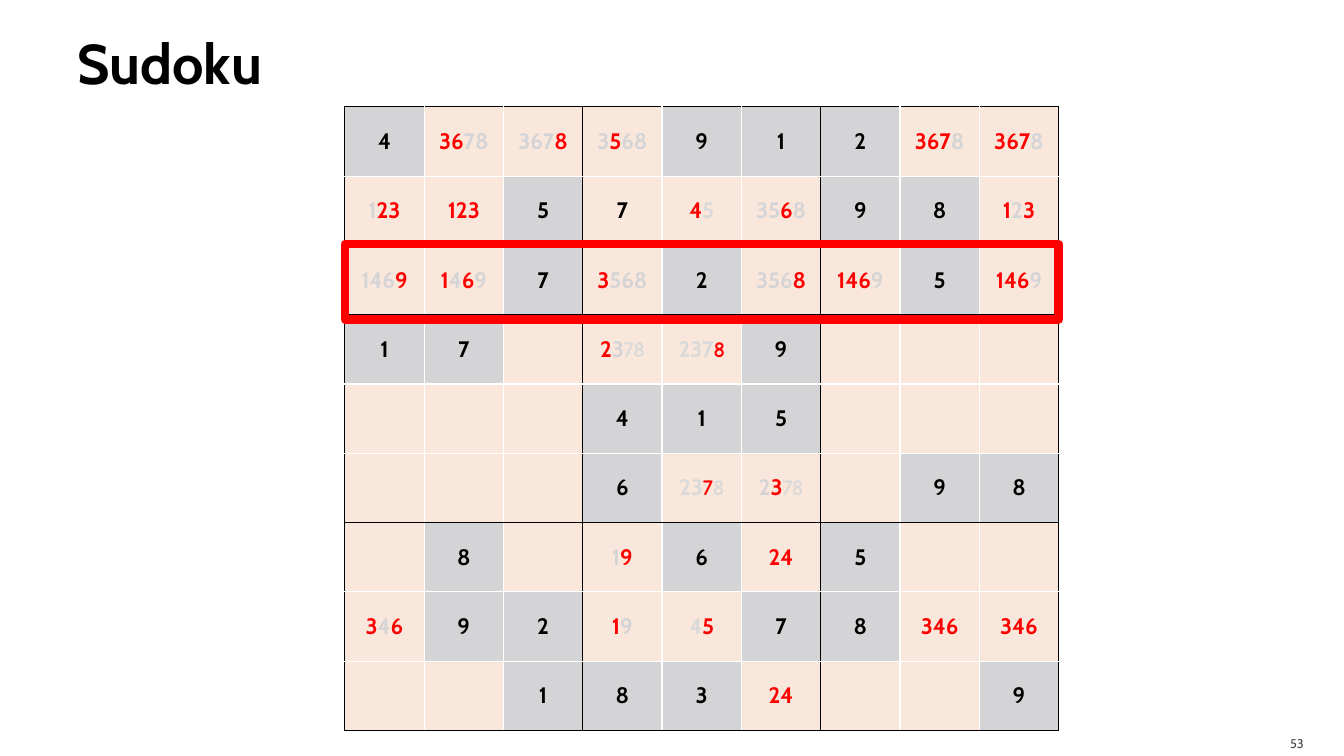
from dataclasses import dataclass

from lxml.etree import SubElement
from pptx import Presentation
from pptx.dml.color import RGBColor
from pptx.enum.shapes import MSO_SHAPE
from pptx.enum.text import MSO_ANCHOR, PP_ALIGN
from pptx.oxml import parse_xml
from pptx.oxml.ns import nsdecls, qn
from pptx.util import Inches, Pt


@dataclass(frozen=True)
class Theme:
    font: str = "Cabin"
    hand: str = "Comic Neue"
    black: str = "000000"
    white: str = "FFFFFF"
    red: str = "FF0000"
    faded: str = "D4D4D6"
    pale: str = "D9D9D9"
    peach: str = "FAE7DC"
    page: str = "454545"
    title_size: int = 40
    cell_size: int = 16
    page_size: int = 9


@dataclass(frozen=True)
class Style:
    color: str
    size: int
    bold: bool = True
    font: str = Theme.font


@dataclass(frozen=True)
class Box:
    left: float
    top: float
    width: float
    height: float

    def emu(self) -> tuple:
        return tuple(Inches(n) for n in (self.left, self.top, self.width, self.height))


THEME = Theme()
SIZE = 9
GRID = Box(3.42, 1.06, 7.08, 6.19)

# Each run starts with a letter that names its style
STYLES = {
    "g": Style(THEME.black, THEME.cell_size),  # given digit, on grey
    "k": Style(THEME.black, THEME.cell_size),  # solved digit
    "r": Style(THEME.red, THEME.cell_size),  # open candidate
    "f": Style(THEME.faded, THEME.cell_size),  # ruled out
    "p": Style(THEME.pale, THEME.cell_size),
    "c": Style(THEME.pale, THEME.cell_size, font=THEME.hand),
    "d": Style(THEME.red, THEME.cell_size, font=THEME.hand),
}

# One line per row; "+" joins runs and "." is an empty cell
ROWS = [
    "g4 r36+f78 f367+r8 f3+r5+f68 g9 g1 g2 r367+f8 r367+f8",
    "f1+r23 r123 g5 k7 r4+p5 f35+r6+f8 g9 g8 r1+f2+r3",
    "f146+r9 r1+f4+r6+f9 g7 r3+f568 g2 f356+r8 r146+f9 g5 r146+f9",
    "g1 g7 . r2+f3+c78 p237+d8 g9 . . .",
    ". . . g4 g1 g5 . . .",
    ". . . g6 p23+d7+c8 f2+r3+c78 . g9 g8",
    ". g8 . f1+r9 g6 r24 g5 . .",
    "r3+f4+r6 g9 g2 r1+f9 p4+r5 g7 g8 r346 r346",
    ". . g1 g8 g3 r24 . . g9",
]


def add_run(para, text: str, style: Style) -> None:
    run = para.add_run()
    run.text = text
    run.font.name = style.font
    run.font.size = Pt(style.size)
    run.font.bold = style.bold
    run.font.color.rgb = RGBColor.from_string(style.color)


def set_edges(cell, row: int, col: int) -> None:
    """Black around each block of three by three, white inside it."""
    edges = {"L": col % 3 == 0, "R": col % 3 == 2,
             "T": row % 3 == 0, "B": row % 3 == 2}
    props = cell._tc.get_or_add_tcPr()
    for spot, (side, outer) in enumerate(edges.items()):
        color = THEME.black if outer else THEME.white
        props.insert(spot, parse_xml(
            f'<a:ln{side} {nsdecls("a")} w="{Pt(1)}"><a:solidFill>'
            f'<a:srgbClr val="{color}"/></a:solidFill></a:ln{side}>'))


def fill_cell(cell, code: str, row: int, col: int) -> None:
    cell.vertical_anchor = MSO_ANCHOR.MIDDLE
    cell.fill.solid()
    shade = THEME.faded if code[0] == "g" else THEME.peach
    cell.fill.fore_color.rgb = RGBColor.from_string(shade)
    set_edges(cell, row, col)
    para = cell.text_frame.paragraphs[0]
    para.alignment = PP_ALIGN.CENTER
    if code != ".":
        for part in code.split("+"):
            add_run(para, part[1:], STYLES[part[0]])


def add_grid(slide) -> None:
    table = slide.shapes.add_table(SIZE, SIZE, *GRID.emu()).table
    for col in table.columns:
        col.width = Inches(GRID.width / SIZE)
    for line in table.rows:
        line.height = Inches(GRID.height / SIZE)
    for row, line in enumerate(ROWS):
        for col, code in enumerate(line.split()):
            fill_cell(table.cell(row, col), code, row, col)


def add_frame(slide, box: Box) -> None:
    frame = slide.shapes.add_shape(MSO_SHAPE.RECTANGLE, *box.emu())
    frame.shadow.inherit = False
    frame.fill.background()
    frame.line.color.rgb = RGBColor.from_string(THEME.red)
    frame.line.width = Pt(6)
    SubElement(frame.line._get_or_add_ln(), qn("a:round"))


def set_title(slide, text: str, box: Box) -> None:
    title = slide.shapes.title
    title.left, title.top, title.width, title.height = box.emu()
    frame = title.text_frame
    frame.vertical_anchor = MSO_ANCHOR.MIDDLE
    frame.margin_left = Inches(0.1)
    frame.margin_right = Inches(0.05)
    para = frame.paragraphs[0]
    para.alignment = PP_ALIGN.LEFT
    add_run(para, text, Style(THEME.black, THEME.title_size))


def add_page(slide, text: str, box: Box) -> None:
    frame = slide.shapes.add_textbox(*box.emu()).text_frame
    frame.word_wrap = True
    frame.vertical_anchor = MSO_ANCHOR.MIDDLE
    frame.margin_bottom = 0
    para = frame.paragraphs[0]
    para.alignment = PP_ALIGN.RIGHT
    add_run(para, text, Style(THEME.page, THEME.page_size, bold=False))


def main() -> None:
    deck = Presentation()
    deck.slide_width, deck.slide_height = Inches(13.33), Inches(7.5)
    slide = deck.slides.add_slide(deck.slide_layouts[5])

    # Title and page number
    set_title(slide, "Sudoku", Box(0.67, 0.08, 12, 1.08))
    add_page(slide, "53", Box(11.96, 7.2, 1.07, 0.3))

    # Puzzle, with the third row framed
    add_grid(slide)
    add_frame(slide, Box(GRID.left, 2.42, GRID.width, 0.75))

    deck.save("out.pptx")


if __name__ == "__main__":
    main()
